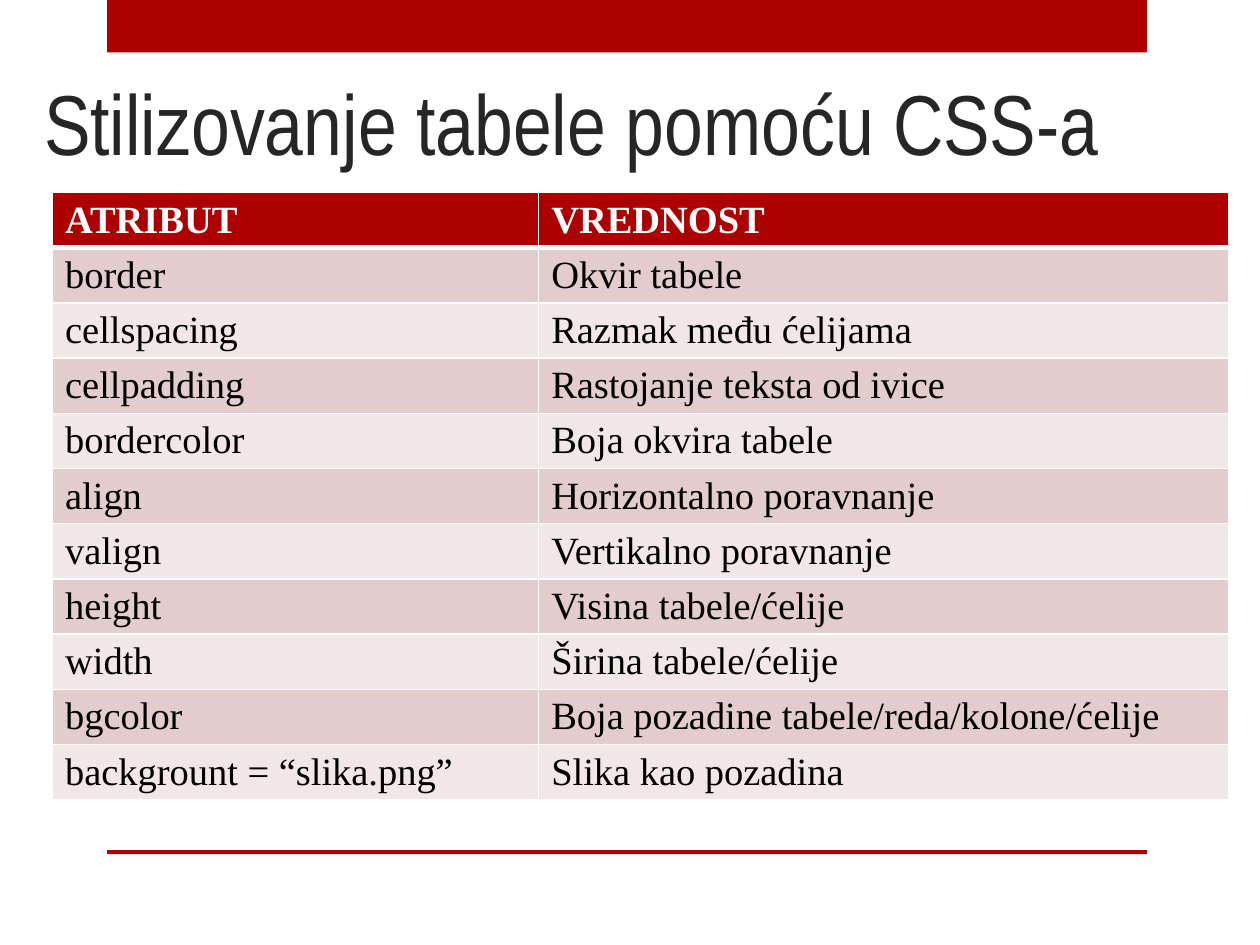
from lxml import etree
from pptx import Presentation
from pptx.dml.color import RGBColor
from pptx.enum import shapes, text
from pptx.oxml.ns import qn
from pptx.util import Cm, Pt

RED, WHITE, BLACK, GREY = "AD0101", "FFFFFF", "000000", "262626"
BANDS = ("E3CCCC", "F1E7E7")
ROWS = [
    ("ATRIBUT", "VREDNOST"),
    ("border", "Okvir tabele"),
    ("cellspacing", "Razmak među ćelijama"),
    ("cellpadding", "Rastojanje teksta od ivice"),
    ("bordercolor", "Boja okvira tabele"),
    ("align", "Horizontalno poravnanje"),
    ("valign", "Vertikalno poravnanje"),
    ("height", "Visina tabele/ćelije"),
    ("width", "Širina tabele/ćelije"),
    ("bgcolor", "Boja pozadine tabele/reda/kolone/ćelije"),
    ("backgrount = “slika.png”", "Slika kao pozadina"),
]
COLUMN_WIDTHS = (9.8, 13.9)
TABLE_HEIGHT = 12.25


def color(value):
    return RGBColor.from_string(value)


def style_text(frame, font, size, fill, bold=False):
    for span in frame.paragraphs[0].runs:
        span.font.name = font
        span.font.size = Pt(size)
        span.font.bold = bold
        span.font.color.rgb = color(fill)


def add_bar(page, top, height):
    bar = page.shapes.add_shape(shapes.MSO_SHAPE.RECTANGLE,
                                Cm(2.16), Cm(top), Cm(20.96), Cm(height))
    bar.shadow.inherit = False
    bar.fill.solid()
    bar.fill.fore_color.rgb = color(RED)
    bar.line.fill.background()


def add_title(page, title):
    box = page.shapes.add_textbox(Cm(0.64), Cm(1.07), Cm(24.13), Cm(2.54))
    frame = box.text_frame
    frame.word_wrap = True
    frame.vertical_anchor = text.MSO_ANCHOR.BOTTOM
    frame.text = title
    style_text(frame, "Arial Narrow", 48.6, GREY)


def set_borders(cell, bottom):
    """Draw white borders, 1 pt wide except for the given bottom width."""
    properties = cell._tc.get_or_add_tcPr()
    widths = (("a:lnL", 1), ("a:lnR", 1), ("a:lnT", 1), ("a:lnB", bottom))
    for position, (side, width) in enumerate(widths):
        line = etree.Element(qn(side), w=str(Pt(width)))
        fill = etree.SubElement(line, qn("a:solidFill"))
        etree.SubElement(fill, qn("a:srgbClr"), val=WHITE)
        properties.insert(position, line)


def style_cell(cell, row):
    header = row == 0
    cell.margin_bottom = Cm(0)
    cell.fill.solid()
    cell.fill.fore_color.rgb = color(RED if header else BANDS[(row - 1) % 2])
    style_text(cell.text_frame, "Times New Roman", 22,
               WHITE if header else BLACK, bold=header)
    set_borders(cell, bottom=3 if header else 1)


def add_attribute_table(page):
    frame = page.shapes.add_table(len(ROWS), len(COLUMN_WIDTHS), Cm(1.06), Cm(3.88),
                                  Cm(sum(COLUMN_WIDTHS)), Cm(TABLE_HEIGHT))
    table = frame.table
    for column, width in zip(table.columns, COLUMN_WIDTHS):
        column.width = Cm(width)
    for row, values in enumerate(ROWS):
        table.rows[row].height = Cm(TABLE_HEIGHT / len(ROWS))
        for column, value in enumerate(values):
            cell = table.cell(row, column)
            cell.text_frame.text = value
            style_cell(cell, row)


def main():
    deck = Presentation()
    deck.slide_width, deck.slide_height = Cm(25.4), Cm(19.05)
    page = deck.slides.add_slide(deck.slide_layouts[6])
    add_bar(page, 0, 1.06)
    add_bar(page, 17.14, 0.08)
    add_title(page, "Stilizovanje tabele pomoću CSS-a")
    add_attribute_table(page)
    deck.save("out.pptx")


if __name__ == "__main__":
    main()
